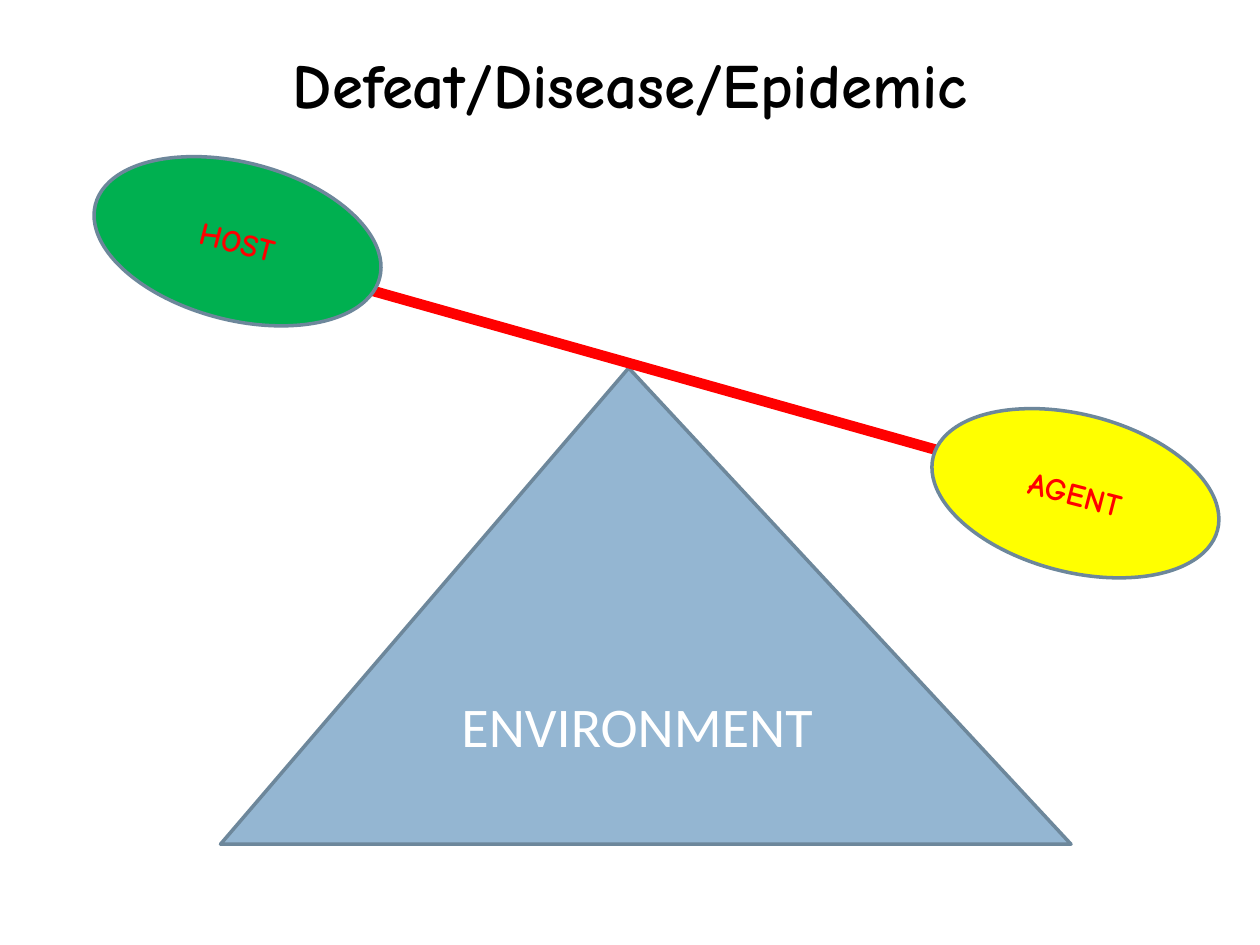
from lxml.etree import SubElement
from pptx import Presentation
from pptx.dml.color import RGBColor as Rgb
from pptx.enum.shapes import MSO_CONNECTOR as Link, MSO_SHAPE as Kind
from pptx.enum.text import MSO_ANCHOR as Anchor, PP_ALIGN as Align
from pptx.oxml.ns import qn
from pptx.util import Inches, Pt

HUES = {
    "black": "000000", "white": "FFFFFF", "red": "FF0000", "blue": "94B6D2",
    "edge": "6D879B", "green": "00B050", "yellow": "FFFF00",
}


def hue(name):
    """Return the named colour."""
    return Rgb.from_string(HUES[name])


def write(shape, text, size, face, tint, bold=False):
    """Put one centred run into a shape."""
    frame = shape.text_frame
    frame.word_wrap = True
    frame.vertical_anchor = Anchor.MIDDLE
    para = frame.paragraphs[0]
    para.alignment = Align.CENTER
    run = para.add_run()
    run.text = text
    font = run.font
    font.size, font.name, font.bold = Pt(size), face, bold
    font.color.rgb = hue(tint)


def add_form(slide, kind, box, fill):
    """Add a filled, outlined shape in the given box."""
    shape = slide.shapes.add_shape(kind, *map(Inches, box))
    shape.shadow.inherit = False
    shape.fill.solid()
    shape.fill.fore_color.rgb = hue(fill)
    shape.line.color.rgb = hue("edge")
    shape.line.width = Pt(2)
    return shape


def add_title(slide, box):
    """Add the slide heading."""
    title = slide.shapes.add_textbox(*map(Inches, box))
    write(title, "Defeat/Disease/Epidemic", 36, "Comic Neue", "black", True)


def add_base(slide, box):
    """Add the triangle the beam rests on."""
    base = add_form(slide, Kind.ISOSCELES_TRIANGLE, box, "blue")
    base.adjustments[0] = 0.48
    write(base, "ENVIRONMENT", 32, "Calibri", "white")


def add_beam(slide, box):
    """Add the beam along the falling diagonal of the box."""
    left, top, width, height = box
    ends = left, top, left + width, top + height
    beam = slide.shapes.add_connector(Link.STRAIGHT, *map(Inches, ends))
    beam.line.color.rgb = hue("red")
    beam.line.width = Pt(6)
    SubElement(beam.element.spPr, qn("a:effectLst"))


def add_weight(slide, box, text, fill):
    """Add a tilted, labelled oval at one end of the beam."""
    oval = add_form(slide, Kind.OVAL, box, fill)
    oval.rotation = 14.5
    write(oval, text, 18, "Comic Neue", "red", True)


def main():
    """Build and save the slide."""
    deck = Presentation()
    deck.slide_width, deck.slide_height = Inches(10), Inches(7.5)
    slide = deck.slides.add_slide(deck.slide_layouts[6])
    add_title(slide, (0.5, 0.3, 9, 0.72))
    add_base(slide, (1.75, 2.92, 6.75, 3.78))
    add_beam(slide, (1.58, 1.92, 7.09, 2))
    add_weight(slide, (0.72, 1.29, 2.33, 1.25), "HOST", "green")
    add_weight(slide, (7.37, 3.29, 2.33, 1.25), "AGENT", "yellow")
    deck.save("out.pptx")


if __name__ == "__main__":
    main()
